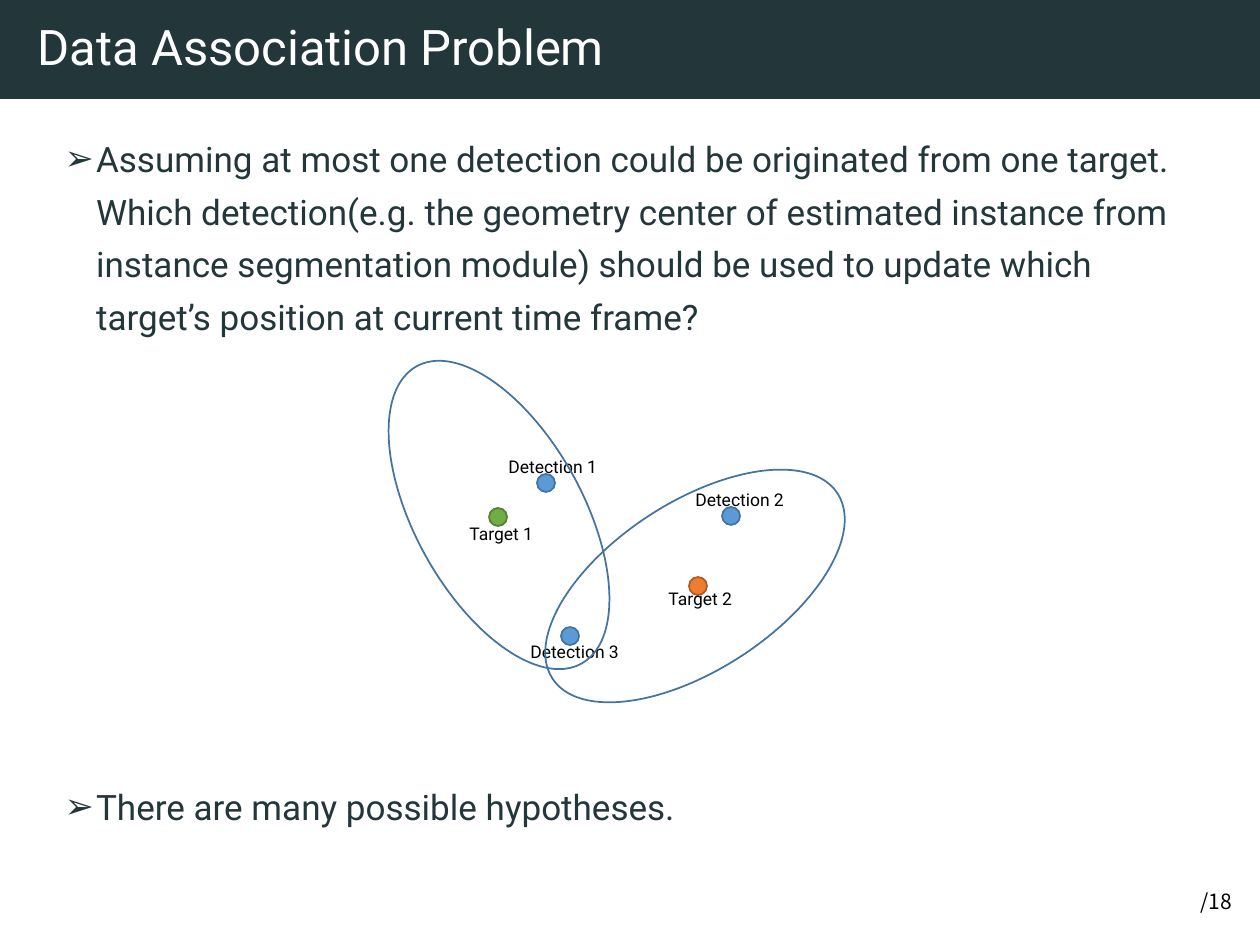
from pptx import Presentation
from pptx.dml.color import RGBColor
from pptx.enum.shapes import MSO_SHAPE
from pptx.enum.text import MSO_ANCHOR, MSO_AUTO_SIZE, PP_ALIGN
from pptx.oxml.ns import qn
from pptx.util import Inches, Pt
from lxml.etree import SubElement

SCALE = Inches(1) / 126
FONT = "Roboto"
COLORS = {
    "dark": "23373B", "white": "FFFFFF", "black": "000000",
    "blue": "5B9BD5", "navy": "43739E",
    "green": "70AD47", "moss": "538035",
    "orange": "ED7D31", "rust": "AF5C24",
}


def px(n):
    return round(n * SCALE)


def color(name):
    return RGBColor.from_string(COLORS[name])


def place(shape, box):
    shape.left, shape.top, shape.width, shape.height = map(px, box)


def style(para, size, name, font=FONT):
    para.font.size = Pt(size)
    para.font.name = font
    para.font.color.rgb = color(name)


def label(slide, box, text, size, font=FONT):
    shape = slide.shapes.add_textbox(*map(px, box))
    frame = shape.text_frame
    frame.word_wrap = True
    frame.text = text
    style(frame.paragraphs[0], size, "black", font)
    return frame


def oval(slide, box, line, fill=None, turn=0):
    shape = slide.shapes.add_shape(MSO_SHAPE.OVAL, *map(px, box))
    shape.shadow.inherit = False
    shape.rotation = turn
    if fill:
        shape.fill.solid()
        shape.fill.fore_color.rgb = color(fill)
    else:
        shape.fill.background()
    shape.line.color.rgb = color(line)
    shape.line.width = Pt(1)


def header(slide, box, text):
    title = slide.shapes.title
    place(title, box)
    title.fill.solid()
    title.fill.fore_color.rgb = color("dark")
    frame = title.text_frame
    frame.text = text
    frame.auto_size = MSO_AUTO_SIZE.NONE
    frame.vertical_anchor = MSO_ANCHOR.MIDDLE
    frame.margin_left = Inches(0.3)
    para = frame.paragraphs[0]
    para.alignment = PP_ALIGN.LEFT
    para.line_spacing = 0.9
    style(para, 28, "white")


def bullets(slide, box, items):
    body = slide.placeholders[1]
    place(body, box)
    frame = body.text_frame
    frame.text = "\n".join(text for text, gap in items)
    frame.auto_size = MSO_AUTO_SIZE.NONE
    frame.vertical_anchor = MSO_ANCHOR.TOP
    for para, (text, gap) in zip(frame.paragraphs, items):
        props = para._p.get_or_add_pPr()
        props.set("marL", str(Inches(0.25)))
        props.set("indent", str(-Inches(0.25)))
        para.line_spacing = 1.25
        para.space_before = Pt(gap)
        SubElement(props, qn("a:buChar")).set("char", "➢")
        style(para, 20, "dark")


def diagram(slide, box):
    left, top = box[:2]
    dots = [
        (153, 129, "blue", "navy", "Detection 1", 112, 105, 121),
        (105, 163, "green", "moss", "Target 1", 73, 172, 103),
        (305, 232, "orange", "rust", "Target 2", 272, 237, 112),
        (338, 162, "blue", "navy", "Detection 2", 299, 138, 121),
        (177, 282, "blue", "navy", "Detection 3", 134, 290, 121),
    ]
    for x, y, fill, line, text, tx, ty, width in dots:
        oval(slide, (left + x, top + y, 18, 18), line, fill)
        label(slide, (left + tx, top + ty, width, 34), text, 10)
    for x, y, turn in [(31, 0, 331), (227, 71, 57)]:
        oval(slide, (left + x, top + y, 168, 340), "navy", turn=turn)


def footer(slide, box, text):
    frame = label(slide, box, text, 12, "Noto Sans CJK SC")
    frame.word_wrap = False
    frame.vertical_anchor = MSO_ANCHOR.MIDDLE


def main():
    deck = Presentation()
    deck.slide_width, deck.slide_height = px(1260), px(945)
    slide = deck.slides.add_slide(deck.slide_layouts[1])
    header(slide, (0, 0, 1260, 99), "Data Association Problem")
    bullets(slide, (52, 121, 1158, 723), [
        ("Assuming at most one detection could be originated from one target. "
         "Which detection(e.g. the geometry center of estimated instance from "
         "instance segmentation module) should be used to update which "
         "target’s position at current time frame?", 0),
        ("There are many possible hypotheses.", 250),
    ])
    diagram(slide, (384, 345, 465, 360))
    footer(slide, (1188, 882, 57, 38), "/18")
    deck.save("out.pptx")


if __name__ == "__main__":
    main()
